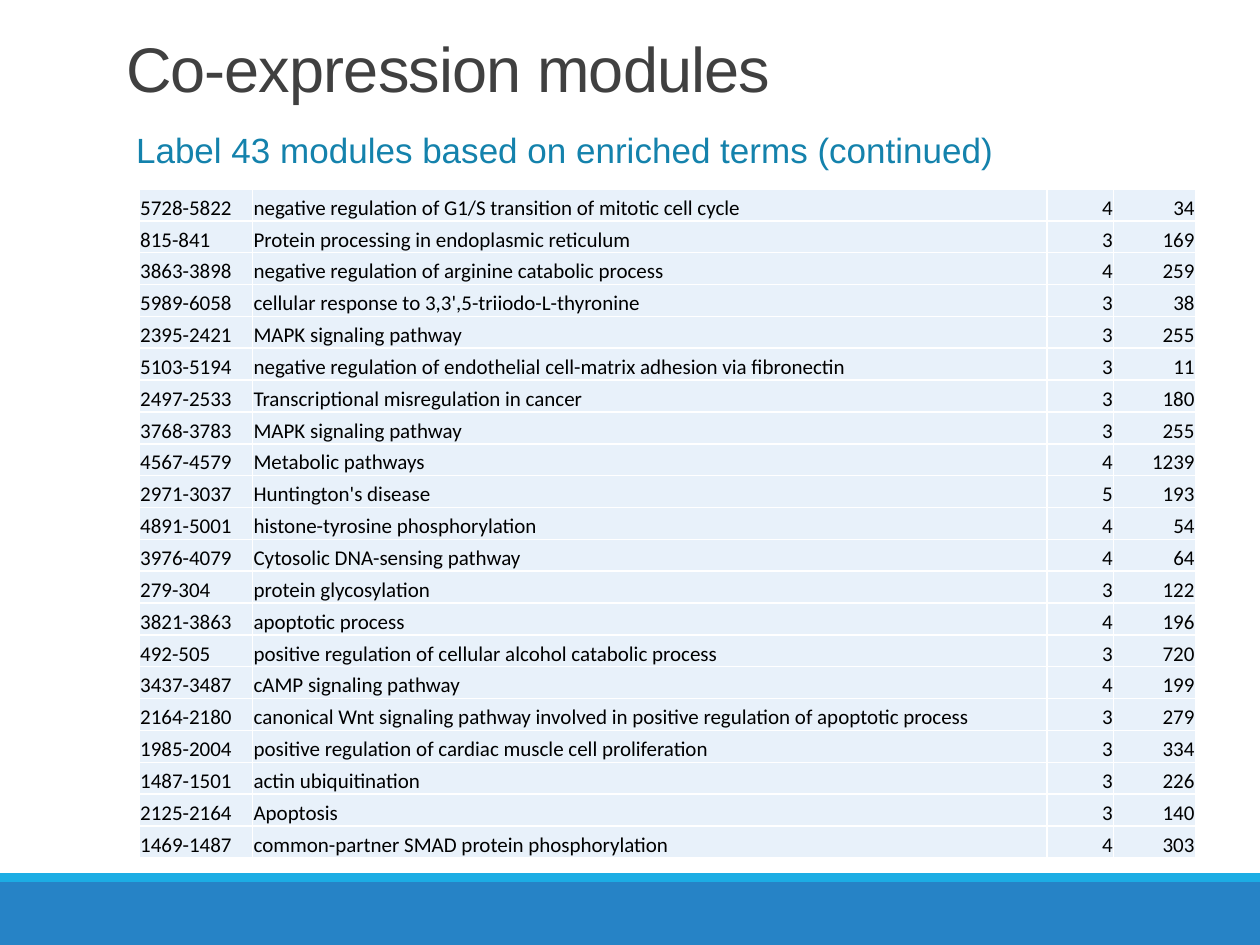
"""Builds a slide listing co-expression modules with their enriched terms."""
from pptx import Presentation
from pptx import util as u
from pptx.dml.color import RGBColor
from pptx.enum import shapes, text
from pptx.oxml import parse_xml
from pptx.oxml.ns import nsdecls

COLORS = {
    "title": "404040",
    "subtitle": "1482AC",
    "band": "2683C6",
    "stripe": "1CADE4",
    "cell": "E8F1FA",
    "cell_text": "000000",
    "border": "FFFFFF",
}

MODULES = [
    ("5728-5822", "negative regulation of G1/S transition of mitotic cell cycle", 4, 34),
    ("815-841", "Protein processing in endoplasmic reticulum", 3, 169),
    ("3863-3898", "negative regulation of arginine catabolic process", 4, 259),
    ("5989-6058", "cellular response to 3,3',5-triiodo-L-thyronine", 3, 38),
    ("2395-2421", "MAPK signaling pathway", 3, 255),
    ("5103-5194", "negative regulation of endothelial cell-matrix adhesion via fibronectin", 3, 11),
    ("2497-2533", "Transcriptional misregulation in cancer", 3, 180),
    ("3768-3783", "MAPK signaling pathway", 3, 255),
    ("4567-4579", "Metabolic pathways", 4, 1239),
    ("2971-3037", "Huntington's disease", 5, 193),
    ("4891-5001", "histone-tyrosine phosphorylation", 4, 54),
    ("3976-4079", "Cytosolic DNA-sensing pathway", 4, 64),
    ("279-304", "protein glycosylation", 3, 122),
    ("3821-3863", "apoptotic process", 4, 196),
    ("492-505", "positive regulation of cellular alcohol catabolic process", 3, 720),
    ("3437-3487", "cAMP signaling pathway", 4, 199),
    ("2164-2180", "canonical Wnt signaling pathway involved in positive regulation of apoptotic process", 3, 279),
    ("1985-2004", "positive regulation of cardiac muscle cell proliferation", 3, 334),
    ("1487-1501", "actin ubiquitination", 3, 226),
    ("2125-2164", "Apoptosis", 3, 140),
    ("1469-1487", "common-partner SMAD protein phosphorylation", 4, 303),
]


class ModuleSlide:
    """Holds the style and the current slide."""

    heading_font = "Arial"
    table_font = "Calibri"

    def __init__(self, deck):
        self.slide = deck.slides.add_slide(deck.slide_layouts[1])

    def format_runs(self, paragraph, font, size, color):
        for run in paragraph.runs:
            run.font.name = font
            run.font.size = u.Pt(size)
            run.font.color.rgb = RGBColor.from_string(COLORS[color])

    def band(self, top, height, color):
        band = self.slide.shapes.add_shape(
            shapes.MSO_SHAPE.RECTANGLE, 0, u.Pt(top), u.Pt(720), u.Pt(height))
        band.shadow.inherit = False
        band.fill.solid()
        band.fill.fore_color.rgb = RGBColor.from_string(COLORS[color])
        band.line.fill.background()

    def heading(self, index, wording, box, size, color, anchor):
        heading = self.slide.placeholders[index]
        heading.left, heading.top, heading.width, heading.height = map(u.Pt, box)
        frame = heading.text_frame
        frame.text = wording
        frame.word_wrap = True
        frame.auto_size = text.MSO_AUTO_SIZE.NONE
        frame.vertical_anchor = anchor
        paragraph = frame.paragraphs[0]
        paragraph.alignment = text.PP_ALIGN.LEFT
        paragraph.space_before = u.Pt(0)
        self.format_runs(paragraph, self.heading_font, size, color)
        return paragraph

    def title(self, wording):
        paragraph = self.heading(0, wording, (64.8, 6.5, 594, 57.6), 36, "title",
                                 text.MSO_ANCHOR.BOTTOM)
        paragraph.line_spacing = 0.85
        paragraph.runs[0].font._element.set("spc", "-50")

    def subtitle(self, wording):
        paragraph = self.heading(1, wording, (64.8, 69.8, 594, 64.8), 20, "subtitle",
                                 text.MSO_ANCHOR.TOP)
        paragraph.space_after = u.Pt(2)
        properties = paragraph._p.get_or_add_pPr()
        properties.set("marL", str(u.Pt(5.76)))
        properties.set("indent", "0")
        properties.append(parse_xml(f"<a:buNone {nsdecls('a')}/>"))

    def cell(self, cell, value):
        cell.text = str(value)
        cell.vertical_anchor = text.MSO_ANCHOR.BOTTOM
        cell.margin_left = cell.margin_right = cell.margin_top = u.Pt(0.6)
        cell.margin_bottom = 0
        paragraph = cell.text_frame.paragraphs[0]
        if isinstance(value, int):
            paragraph.alignment = text.PP_ALIGN.RIGHT
        self.format_runs(paragraph, self.table_font, 12, "cell_text")
        properties = cell._tc.get_or_add_tcPr()
        for side in "LRTB":
            properties.append(parse_xml(
                f'<a:ln{side} {nsdecls("a")} w="{u.Pt(1)}"><a:solidFill>'
                f'<a:srgbClr val="{COLORS["border"]}"/></a:solidFill></a:ln{side}>'))
        cell.fill.solid()
        cell.fill.fore_color.rgb = RGBColor.from_string(COLORS["cell"])

    def table(self, rows, left, top, widths, row_height):
        table = self.slide.shapes.add_table(
            len(rows), len(widths), u.Pt(left), u.Pt(top),
            u.Pt(sum(widths)), u.Pt(row_height * len(rows))).table
        table.first_row = table.horz_banding = False
        for column, width in zip(table.columns, widths):
            column.width = u.Pt(width)
        for r, row in enumerate(rows):
            table.rows[r].height = u.Pt(row_height)
            for c, value in enumerate(row):
                self.cell(table.cell(r, c), value)


def main():
    deck = Presentation()
    deck.slide_width, deck.slide_height = u.Pt(720), u.Pt(540)
    page = ModuleSlide(deck)
    page.band(504, 36, "band")
    page.band(499, 5, "stripe")
    page.title("Co-expression modules")
    page.subtitle("Label 43 modules based on enriched terms (continued)")
    page.table(MODULES, 79.5, 108, (64.8, 453.9, 38.2, 46.8), 18.2)
    deck.save("out.pptx")


if __name__ == "__main__":
    main()
